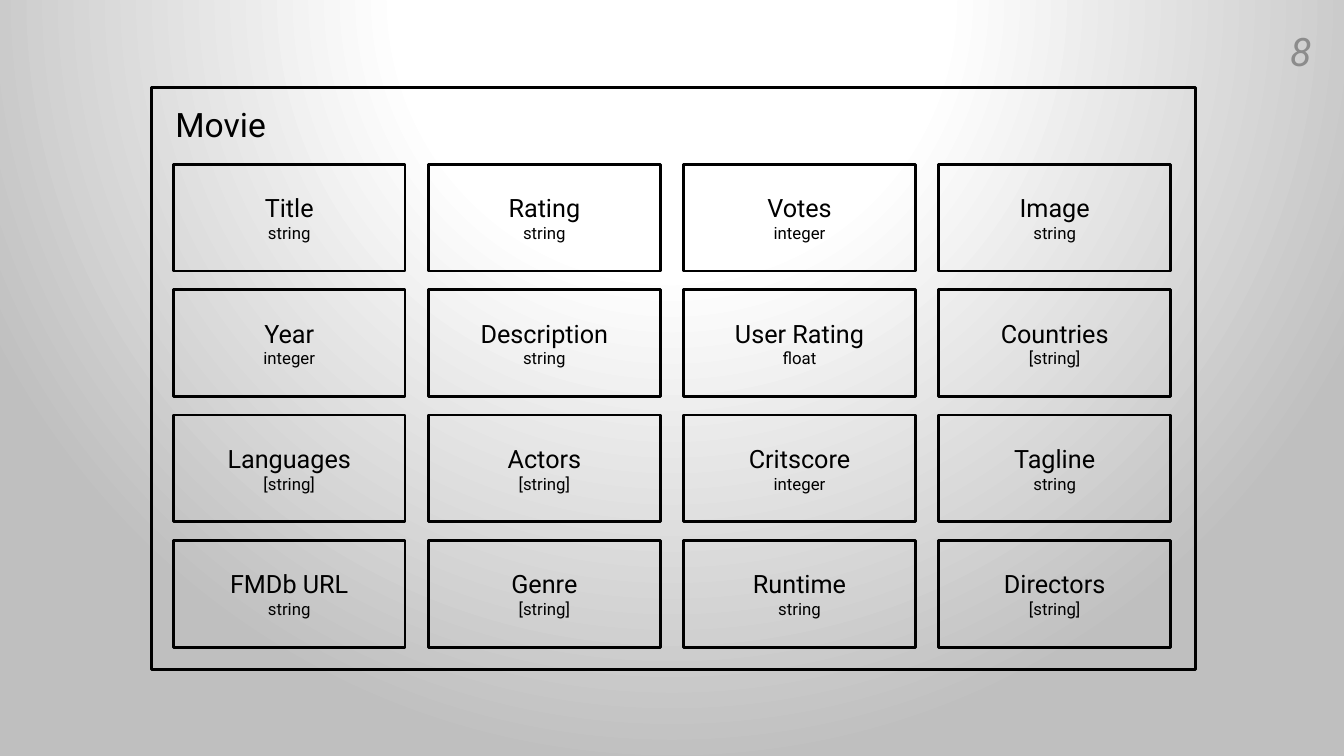
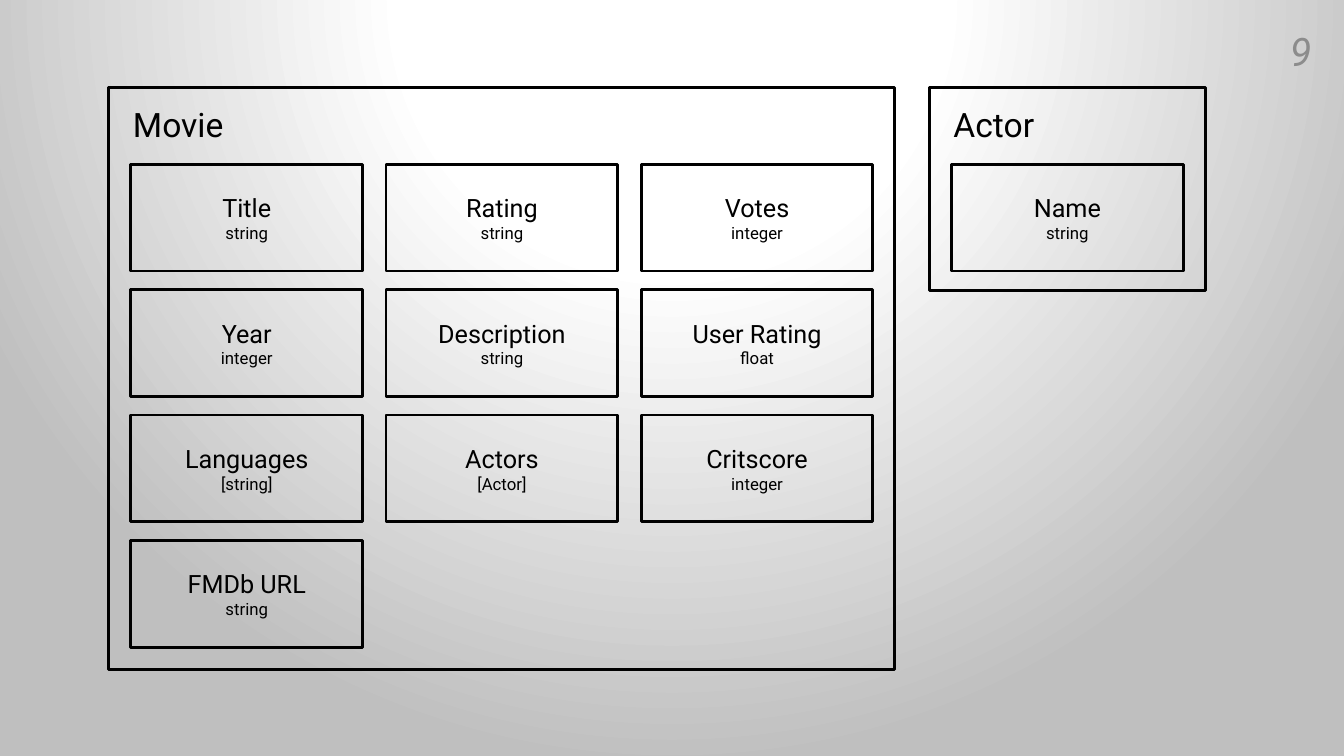
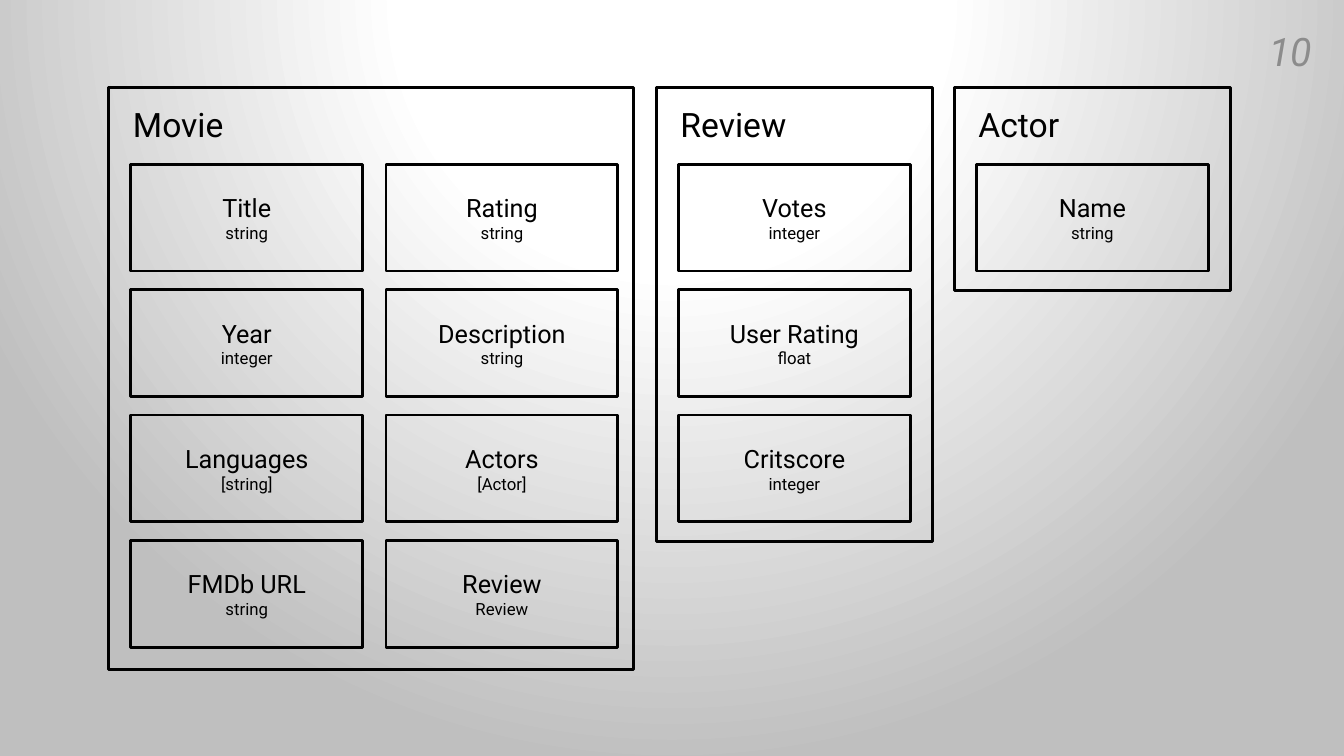
from lxml import etree
from pptx import Presentation
from pptx.dml.color import RGBColor
from pptx.enum.shapes import MSO_SHAPE
from pptx.enum.text import MSO_ANCHOR, MSO_AUTO_SIZE, PP_ALIGN
from pptx.util import Cm, Pt

RECT = MSO_SHAPE.RECTANGLE
TOP, MIDDLE = MSO_ANCHOR.TOP, MSO_ANCHOR.MIDDLE
LEFT, CENTER, RIGHT = PP_ALIGN.LEFT, PP_ALIGN.CENTER, PP_ALIGN.RIGHT
NO_FIT = MSO_AUTO_SIZE.NONE

# Shared look
BLACK = RGBColor(0x00, 0x00, 0x00)
GREY = RGBColor(0x8C, 0x8C, 0x8C)
FONT = "Roboto"
HEAD = {"size": Pt(24)}
FIELD = {"size": Pt(18)}
KIND = {"size": Pt(12)}
NUMBER = {"size": Pt(28), "italic": True}
INSETS = {"margin_left": Cm(0.61), "margin_top": Cm(0.41),
          "margin_right": Cm(0.25), "margin_bottom": Cm(0.13)}
GRADIENT = """
<a:gradFill xmlns:a="http://schemas.openxmlformats.org/drawingml/2006/main"
            rotWithShape="1">
  <a:gsLst>
    <a:gs pos="0"><a:srgbClr val="FFFFFF"/></a:gs>
    <a:gs pos="35000"><a:srgbClr val="FFFFFF"/></a:gs>
    <a:gs pos="100000"><a:srgbClr val="BFBFBF"/></a:gs>
  </a:gsLst>
  <a:path path="circle">
    <a:fillToRect l="50000" t="-80000" r="50000" b="180000"/>
  </a:path>
</a:gradFill>"""

# Grid in centimetres
PANEL_TOP = 2.21
CELL_W, CELL_H = 5.84, 2.69
STEP_X, STEP_Y = 6.43, 3.16
PAD_X, PAD_Y = 0.56, 1.93
FIRST = 8

# Content: each panel is name, left, width, height, rows of fields
NAME = [["Name:string"]]
SLIDES = [
    [("Movie", 3.81, 26.31, 14.66, [
        ["Title:string", "Rating:string", "Votes:integer", "Image:string"],
        ["Year:integer", "Description:string", "User Rating:float",
         "Countries:[string]"],
        ["Languages:[string]", "Actors:[string]", "Critscore:integer",
         "Tagline:string"],
        ["FMDb URL:string", "Genre:[string]", "Runtime:string",
         "Directors:[string]"]])],
    [("Movie", 2.74, 19.81, 14.66, [
        ["Title:string", "Rating:string", "Votes:integer"],
        ["Year:integer", "Description:string", "User Rating:float"],
        ["Languages:[string]", "Actors:[Actor]", "Critscore:integer"],
        ["FMDb URL:string"]]),
     ("Actor", 23.42, 6.96, 5.11, NAME)],
    [("Movie", 2.74, 13.23, 14.66, [
        ["Title:string", "Rating:string"],
        ["Year:integer", "Description:string"],
        ["Languages:[string]", "Actors:[Actor]"],
        ["FMDb URL:string", "Review:Review"]]),
     ("Review", 16.54, 6.96, 11.43, [
         ["Votes:integer"], ["User Rating:float"], ["Critscore:integer"]]),
     ("Actor", 24.05, 6.96, 5.11, NAME)],
]


def set_all(target, values):
    for key, value in values.items():
        setattr(target, key, value)


def write(shape, lines, align, anchor, color=BLACK):
    """Fill a shape with (text, format) lines, one paragraph each."""
    frame = shape.text_frame
    set_all(frame, {"word_wrap": True, "auto_size": NO_FIT,
                    "vertical_anchor": anchor})
    for i, (text, style) in enumerate(lines):
        para = frame.add_paragraph() if i else frame.paragraphs[0]
        para.alignment = align
        run = para.add_run()
        run.text = text
        set_all(run.font, {"name": FONT, **style})
        run.font.color.rgb = color


def outline(shape):
    shape.fill.background()
    shape.line.color.rgb = BLACK
    shape.line.width = Pt(2)


def add_box(slide, x, y, w, h):
    box = slide.shapes.add_shape(RECT, Cm(x), Cm(y), Cm(w), Cm(h))
    box.shadow.inherit = False
    outline(box)
    return box


def add_title(slide, x, y, w, h):
    title = slide.shapes.title
    set_all(title, {"left": Cm(x), "top": Cm(y),
                    "width": Cm(w), "height": Cm(h)})
    outline(title)
    return title


def add_panel(slide, make, name, left, width, height, rows):
    """Draw a type as a frame with a grid of its fields."""
    panel = make(slide, left, PANEL_TOP, width, height)
    set_all(panel.text_frame, INSETS)
    write(panel, [(name, HEAD)], LEFT, TOP)
    for r, row in enumerate(rows):
        for c, item in enumerate(row):
            field, kind = item.split(":")
            cell = add_box(slide, left + PAD_X + c * STEP_X,
                           PANEL_TOP + PAD_Y + r * STEP_Y, CELL_W, CELL_H)
            write(cell, [(field, FIELD), (kind, KIND)], CENTER, MIDDLE)


def add_number(slide, number):
    box = slide.shapes.add_textbox(Cm(31.01), Cm(0.56), Cm(2.29), Cm(1.42))
    write(box, [(str(number), NUMBER)], RIGHT, MIDDLE, GREY)


def set_back(master):
    """Give every slide the radial gradient through the master."""
    master.background.fill.solid()
    solid = master.element.xpath("./p:cSld/p:bg/p:bgPr/a:solidFill")[0]
    solid.getparent().replace(solid, etree.fromstring(GRADIENT))


def main():
    prs = Presentation()
    prs.slide_width, prs.slide_height = Cm(33.87), Cm(19.05)
    set_back(prs.slide_master)
    layout = prs.slide_layouts[5]
    for number, panels in enumerate(SLIDES, FIRST):
        slide = prs.slides.add_slide(layout)
        add_number(slide, number)
        # The first panel carries the slide title
        for i, panel in enumerate(panels):
            add_panel(slide, add_box if i else add_title, *panel)
    prs.save("out.pptx")


if __name__ == "__main__":
    main()
